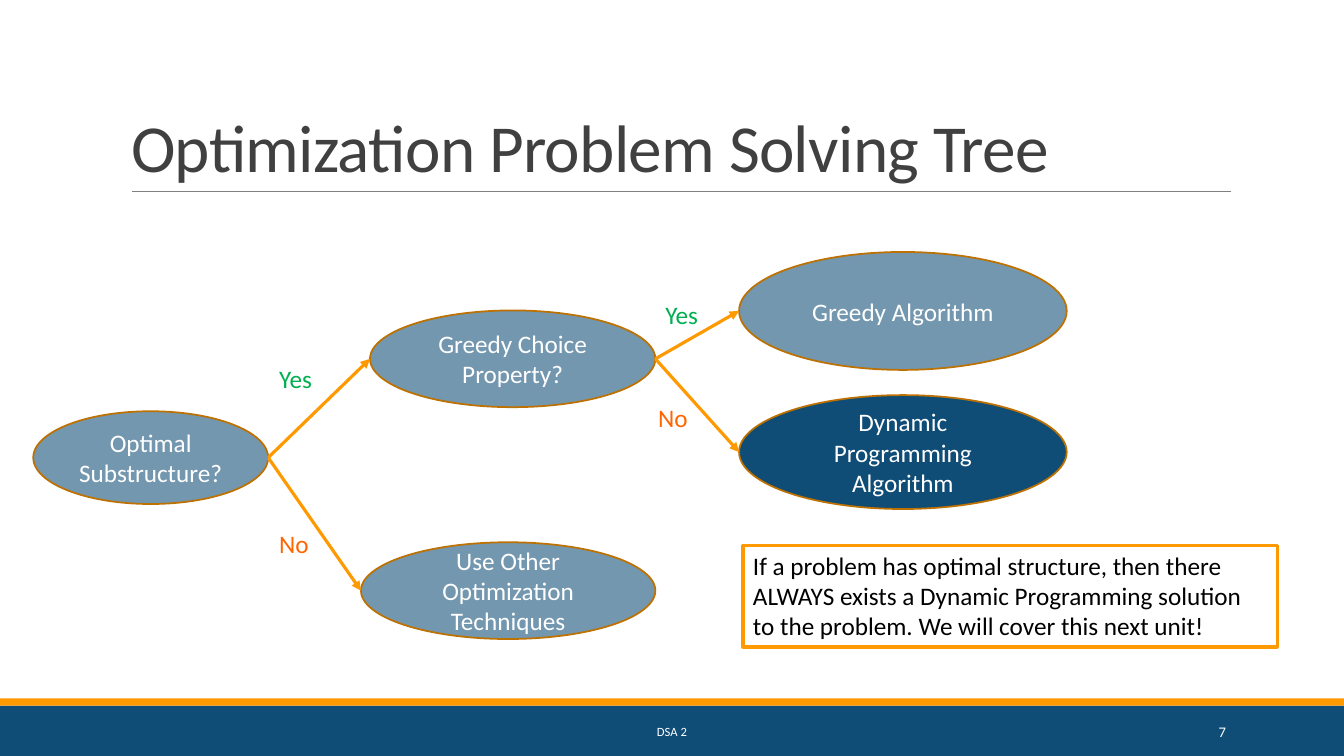
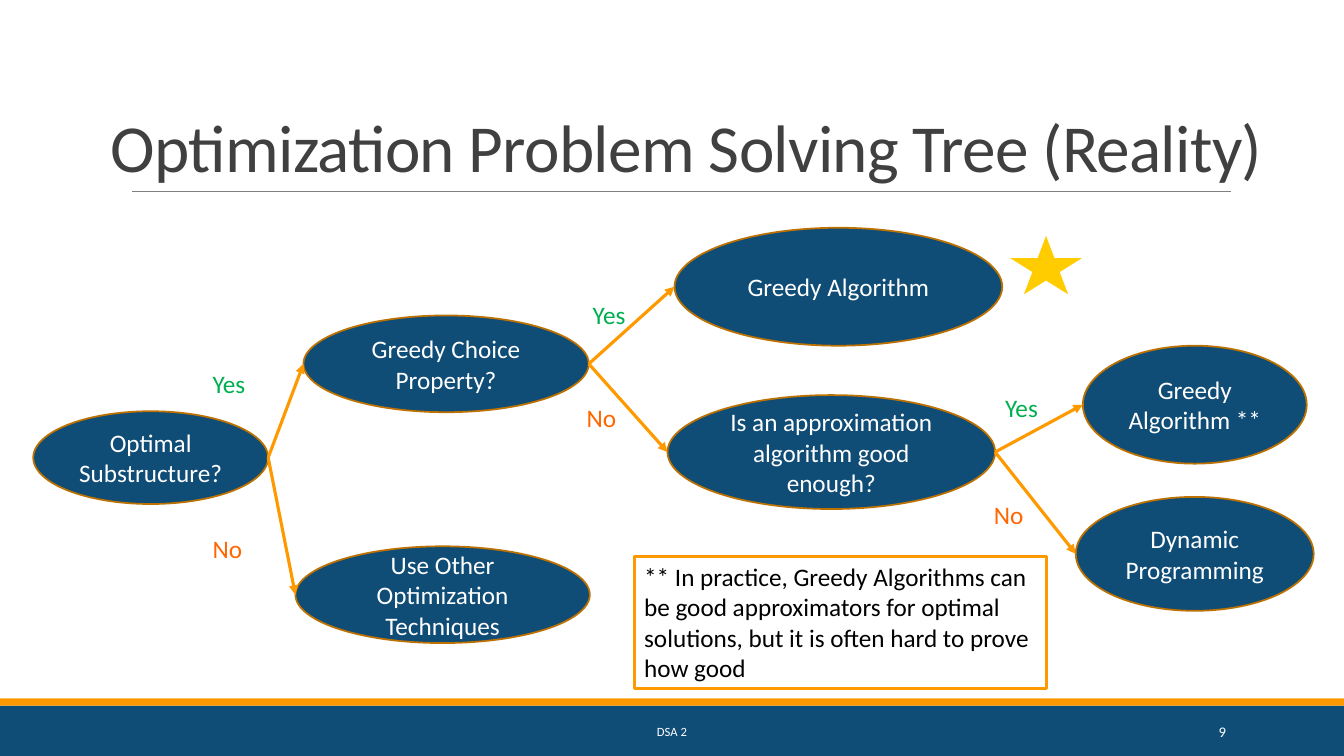
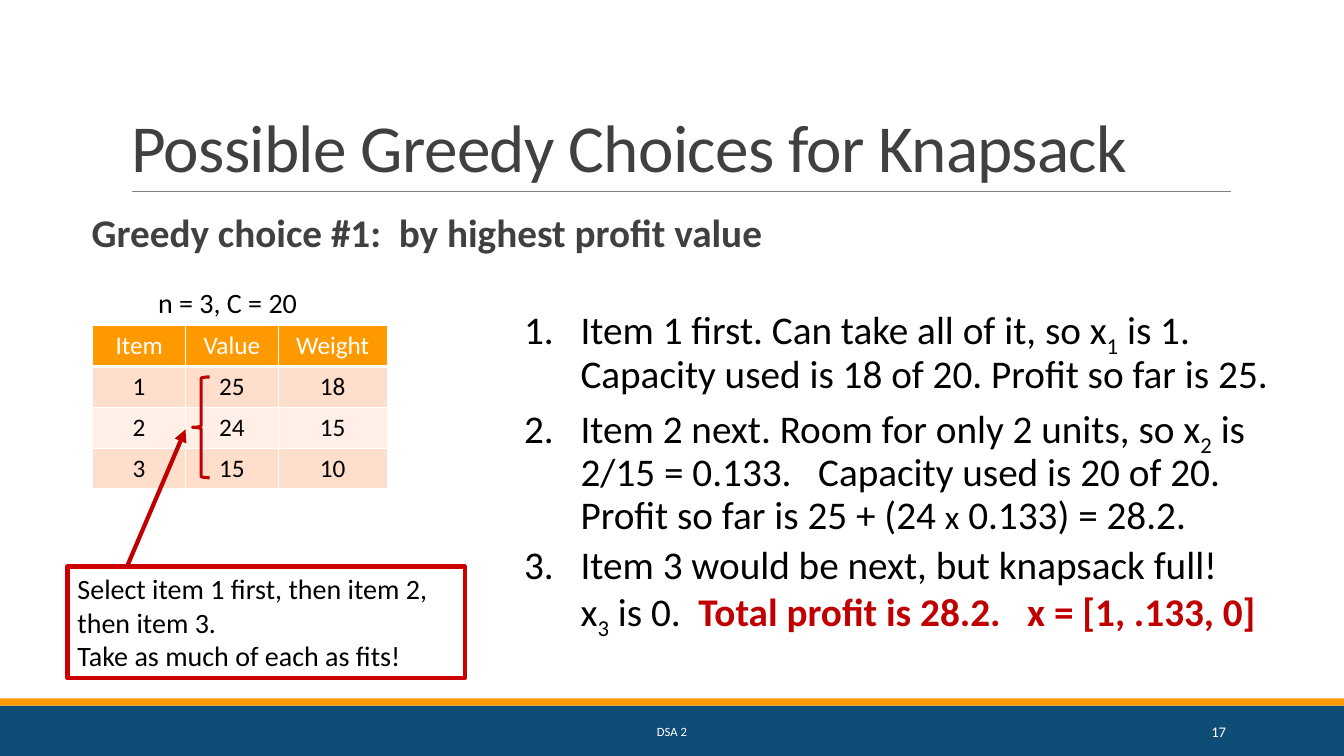
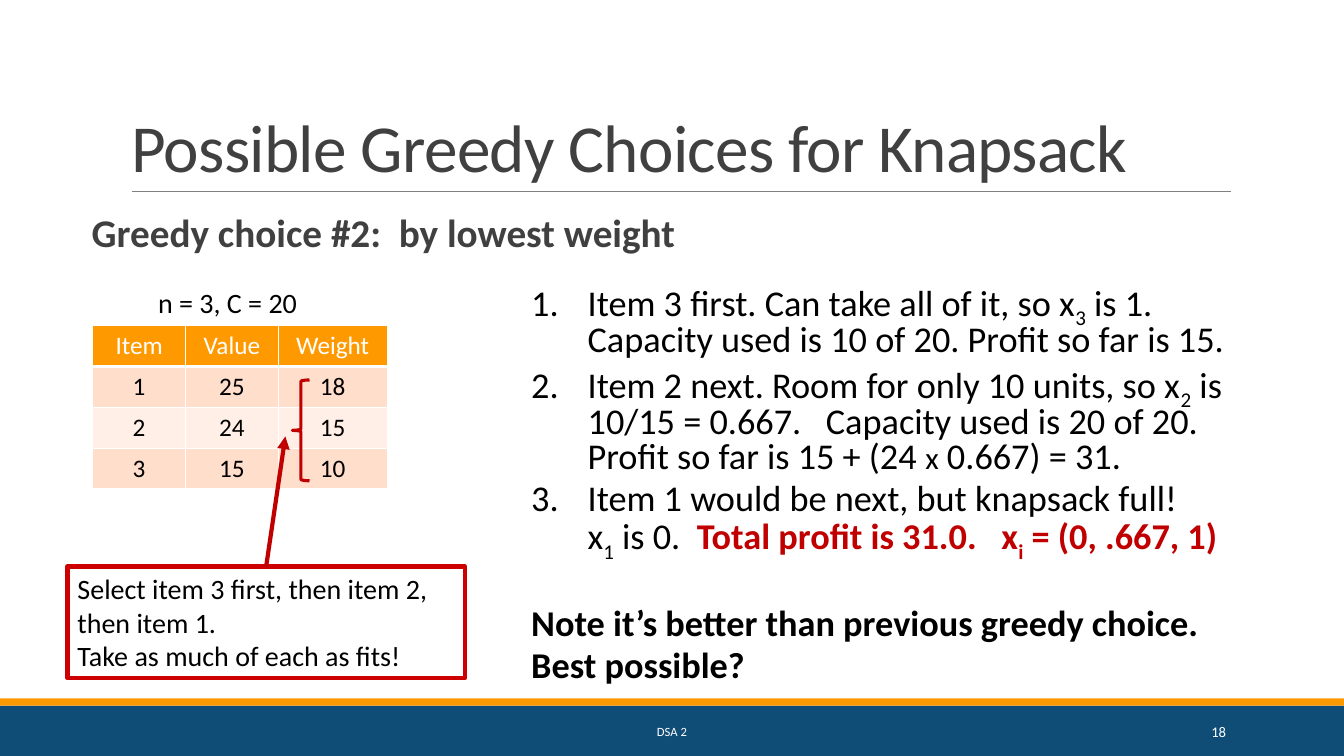
from collections import namedtuple

from lxml.etree import SubElement
from pptx import Presentation
from pptx.dml.color import RGBColor
from pptx.enum.shapes import MSO_CONNECTOR as LINE, MSO_SHAPE as SHAPE
from pptx.enum.text import MSO_ANCHOR as ANCHOR, MSO_AUTO_SIZE as FIT, PP_ALIGN as ALIGN
from pptx.oxml.ns import qn
from pptx.util import Emu, Pt

EMU_PER_PX = 9144  # 100 px to the inch
WIDTH, HEIGHT = 1333, 750

NAVY, ORANGE, BRONZE, GOLD = "0F4C76", "FF9900", "BD7100", "FFCC00"
GREEN, CORAL, RED, CRIMSON = "00B050", "FF6600", "CC0000", "C00000"
WHITE, BLACK, CHARCOAL, GREY = "FFFFFF", "000000", "404040", "808080"
PEACH, CREAM = "FFDECC", "FFEFE7"

Run = namedtuple("Run", "text size color bold baseline", defaults=(None, None, None, 0))
Node = namedtuple("Node", "text left top width height faded", defaults=(False,))


def px(length):
    return Emu(round(length * EMU_PER_PX))


def rgb(code):
    return RGBColor.from_string(code)


def sub(text, **style):
    return Run(text, baseline=-25000, **style)


class Deck:
    """Holds the style of the presentation and the slide being built."""

    font = "Calibri"

    def __init__(self):
        self.file = Presentation()
        self.file.slide_width, self.file.slide_height = px(WIDTH), px(HEIGHT)
        self.slide = None

    # Shared parts
    def start(self, title, number, left=120, width=1100):
        self.slide = self.file.slides.add_slide(self.file.slide_layouts[5])
        self.shape(SHAPE.RECTANGLE, (0, 700, WIDTH, 50), fill=NAVY)
        self.shape(SHAPE.RECTANGLE, (0, 693, WIDTH, 7), fill=ORANGE)
        self.line((131, 190), (1221, 190), GREY, 0.5)
        heading = self.slide.shapes.title
        heading.left, heading.top = px(left), px(31)
        heading.width, heading.height = px(width), px(159)
        frame = self.frame(heading, ANCHOR.BOTTOM)
        self.paragraph(frame, title, 48, CHARCOAL, spacing=0.85)
        for run in frame.paragraphs[0].runs:
            run.font._element.set("spc", "-50")
        self.text("DSA 2", (403, 706, 527, 40), 9, WHITE, align=ALIGN.CENTER, anchor=ANCHOR.MIDDLE)
        self.text(number, (1083, 706, 143, 40), 10.5, WHITE, align=ALIGN.RIGHT, anchor=ANCHOR.MIDDLE)

    # Text
    def frame(self, shape, anchor=ANCHOR.TOP, fit=FIT.NONE):
        frame = shape.text_frame
        frame.word_wrap, frame.auto_size, frame.vertical_anchor = True, fit, anchor
        return frame

    def paragraph(self, frame, runs, size, color, bold=False, align=ALIGN.LEFT,
                  spacing=None, before=0, numbered=False):
        first = frame.paragraphs[0]
        para = frame.add_paragraph() if first.runs else first
        para.alignment, para.line_spacing, para.space_before = align, spacing, Pt(before)
        if numbered:
            props = para._p.get_or_add_pPr()
            props.set("marL", str(px(56)))
            props.set("indent", str(px(-56)))
            SubElement(props, qn("a:buFont"), typeface="+mj-lt")
            SubElement(props, qn("a:buAutoNum"), type="arabicPeriod")
        for part in [runs] if isinstance(runs, str) else runs:
            part = Run(part) if isinstance(part, str) else part
            for index, words in enumerate(part.text.split("\n")):
                if index:
                    para.add_line_break()
                if not words:
                    continue
                run = para.add_run()
                run.text = words
                run.font.name, run.font.size = self.font, Pt(part.size or size)
                run.font.bold = bold if part.bold is None else part.bold
                run.font.color.rgb = rgb(part.color or color)
                if part.baseline:
                    run.font._element.set("baseline", str(part.baseline))

    def textbox(self, box, anchor=ANCHOR.TOP, fit=FIT.NONE):
        return self.frame(self.slide.shapes.add_textbox(*map(px, box)), anchor, fit)

    def text(self, words, box, size, color, bold=False, align=ALIGN.LEFT,
             anchor=ANCHOR.TOP, fit=FIT.NONE):
        frame = self.textbox(box, anchor, fit)
        self.paragraph(frame, words, size, color, bold, align)
        return frame

    # Shapes and lines
    def shape(self, kind, box, fill=None, line=None, weight=1.0, opacity=None):
        shape = self.slide.shapes.add_shape(kind, *map(px, box))
        shape.shadow.inherit = False
        if fill:
            shape.fill.solid()
            shape.fill.fore_color.rgb = rgb(fill)
        else:
            shape.fill.background()
        if opacity:
            tint = shape._element.spPr.find(qn("a:solidFill"))[0]
            SubElement(tint, qn("a:alpha"), val=str(opacity * 1000))
        if line:
            shape.line.color.rgb, shape.line.width = rgb(line), Pt(weight)
        else:
            shape.line.fill.background()
        return shape

    def line(self, start, end, color, weight, arrow=False):
        line = self.slide.shapes.add_connector(LINE.STRAIGHT, *map(px, start + end))
        line.line.color.rgb, line.line.width = rgb(color), Pt(weight)
        if arrow:
            SubElement(line.line._get_or_add_ln(), qn("a:tailEnd"), type="triangle")
        SubElement(line._element.spPr, qn("a:effectLst"))

    def note(self, words, box, size, line, weight):
        shape = self.shape(SHAPE.RECTANGLE, box, line=line, weight=weight)
        self.paragraph(self.frame(shape, fit=FIT.SHAPE_TO_FIT_TEXT), words, size, BLACK)

    # Decision tree
    def node(self, node):
        shape = self.shape(SHAPE.OVAL, node[1:5], NAVY, BRONZE, 1.25, 58 if node.faded else None)
        self.paragraph(self.frame(shape, ANCHOR.MIDDLE), node.text, 18, WHITE, align=ALIGN.CENTER)

    def branch(self, parent, child):
        self.line((parent.left + parent.width, parent.top + parent.height / 2),
                  (child.left, child.top + child.height / 2), ORANGE, 2.25, arrow=True)

    def tree(self, nodes, branches, answers):
        for node in nodes.values():
            self.node(node)
        for parent, child in branches:
            self.branch(nodes[parent], nodes[child])
        for answer, left, top in answers:
            self.text(answer, (left, top, 67, 40), 18, GREEN if answer == "Yes" else CORAL,
                      fit=FIT.SHAPE_TO_FIT_TEXT)

    # Item table
    def table(self, rows, left, top, widths, height):
        table = self.slide.shapes.add_table(
            len(rows), len(widths), px(left), px(top), px(sum(widths)), px(height * len(rows))).table
        table.first_row = table.horz_banding = False
        for column, width in zip(table.columns, widths):
            column.width = px(width)
        for r, row in enumerate(rows):
            table.rows[r].height = px(height)
            for c, value in enumerate(row):
                cell = table.cell(r, c)
                for side in ("lnL", "lnR", "lnT", "lnB"):
                    thick = (r, side) in ((0, "lnB"), (1, "lnT"))
                    self.border(cell, side, 3 if thick else 1)
                cell.fill.solid()
                cell.fill.fore_color.rgb = rgb(ORANGE if r == 0 else PEACH if r % 2 else CREAM)
                self.paragraph(cell.text_frame, value, 18, BLACK if r else WHITE, align=ALIGN.CENTER)

    def border(self, cell, side, weight):
        line = SubElement(cell._tc.get_or_add_tcPr(), qn("a:" + side), w=str(Pt(weight)))
        SubElement(SubElement(line, qn("a:solidFill")), qn("a:srgbClr"), val=WHITE)

    # Knapsack example
    def knapsack(self, number, choice, order, brace, arrow):
        self.start("Possible Greedy Choices for Knapsack", number)
        heading = self.text(choice, (91, 207, 1083, 155), 28, CHARCOAL, bold=True)
        heading.margin_left = heading.margin_right = 0
        heading.paragraphs[0].line_spacing = 0.9
        self.table(ITEMS, 92, 323, (92, 92, 108), 40)
        self.text("n = 3, C = 20", (147, 278, 165, 44), 20, BLACK)
        self.note(order + "\nTake as much of each as fits!", (67, 562, 394, 111), 20, RED, 3)
        self.line(*arrow, CRIMSON, 3, arrow=True)
        self.shape(SHAPE.LEFT_BRACE, brace + (17, 100), line=CRIMSON, weight=2.25)

    def steps(self, box, steps, size, spacing, before):
        frame = self.textbox(box)
        for runs in steps:
            self.paragraph(frame, runs, size, BLACK, spacing=spacing, before=before, numbered=True)
        return frame


ITEMS = [("Item", "Value", "Weight"), ("1", "25", "18"), ("2", "24", "15"), ("3", "15", "10")]


def main():
    deck = Deck()

    # Slide 1: solving tree
    deck.start("Optimization Problem Solving Tree", "7")
    deck.tree(
        {"start": Node("Optimal Substructure?", 33, 408, 233, 92, True),
         "choice": Node("Greedy Choice Property?", 367, 308, 283, 96, True),
         "other": Node("Use Other Optimization Techniques", 358, 538, 292, 96, True),
         "dynamic": Node("Dynamic Programming Algorithm", 733, 392, 325, 113),
         "greedy": Node("Greedy Algorithm", 733, 250, 325, 117, True)},
        [("start", "choice"), ("start", "other"), ("choice", "greedy"), ("choice", "dynamic")],
        [("Yes", 267, 356), ("No", 267, 519), ("Yes", 650, 292), ("No", 643, 394)])
    deck.note("If a problem has optimal structure, then there ALWAYS exists a Dynamic Programming "
              "solution to the problem. We will cover this next unit!",
              (737, 541, 530, 101), 18, ORANGE, 2.25)

    # Slide 2: solving tree in practice
    deck.start("Optimization Problem Solving Tree (Reality)", "9", left=100, width=1200)
    deck.tree(
        {"start": Node("Optimal Substructure?", 33, 408, 233, 92),
         "choice": Node("Greedy Choice Property?", 301, 313, 283, 96),
         "other": Node("Use Other Optimization Techniques", 293, 542, 292, 96),
         "approximate": Node("Is an approximation algorithm good enough?", 662, 392, 325, 113),
         "practical": Node("Greedy Algorithm **", 1074, 343, 222, 117),
         "dynamic": Node("Dynamic Programming", 1067, 493, 236, 113),
         "greedy": Node("Greedy Algorithm", 669, 226, 325, 117)},
        [("start", "choice"), ("start", "other"), ("choice", "greedy"), ("choice", "approximate"),
         ("approximate", "practical"), ("approximate", "dynamic")],
        [("Yes", 201, 360), ("No", 201, 524), ("Yes", 578, 292), ("No", 572, 394),
         ("Yes", 987, 384), ("No", 976, 490)])
    deck.shape(SHAPE.STAR_5_POINT, (1002, 234, 71, 58), fill=GOLD)
    deck.note("** In practice, Greedy Algorithms can be good approximators for optimal solutions, "
              "but it is often hard to prove how good", (629, 552, 409, 131), 18, ORANGE, 2.25)

    # Slide 3: knapsack by value
    deck.knapsack("17", "Greedy choice #1:  by highest profit value",
                  "Select item 1 first, then item 2, then item 3.",
                  brace=(191, 374), arrow=((126, 562), (184, 426)))
    deck.steps((510, 299, 778, 369), [
        ["Item 1 first. Can take all of it, so x", sub("1"),
         " is 1.\nCapacity used is 18 of 20. Profit so far is 25."],
        ["Item 2 next. Room for only 2 units, so x", sub("2"),
         " is 2/15 = 0.133.   Capacity used is 20 of 20.\nProfit so far is 25 + (24 ",
         Run("x", size=24), " 0.133) = 28.2."],
        ["Item 3 would be next, but knapsack full!\nx", sub("3"), " is 0.  ",
         Run("Total profit is 28.2.   x = [1, .133, 0]", color=CRIMSON, bold=True)],
    ], 28, 0.9, 5.6)

    # Slide 4: knapsack by weight
    deck.knapsack("18", "Greedy choice #2:  by lowest weight",
                  "Select item 3 first, then item 2, then item 1.",
                  brace=(290, 377), arrow=((264, 562), (283, 433)))
    result = {"color": CRIMSON, "bold": True}
    frame = deck.steps((517, 278, 778, 414), [
        ["Item 3 first. Can take all of it, so x", sub("3"),
         " is 1.\nCapacity used is 10 of 20. Profit so far is 15."],
        ["Item 2 next. Room for only 10 units, so x", sub("2"),
         " is 10/15 = 0.667.   Capacity used is 20 of 20.\nProfit so far is 15 + (24 ",
         Run("x", size=22.2), " 0.667) = 31."],
        ["Item 1 would be next, but knapsack full!\nx", sub("1"), " is 0.  ",
         Run("Total profit is 31.0.   x", **result), sub("i", **result),
         Run(" = (0, .667, 1)", **result)],
    ], 25.9, 0.8, 5.2)
    for remark, before in (("Note it’s better than previous greedy choice.", 36),
                           ("Best possible?", 5.2)):
        deck.paragraph(frame, remark, 25.9, BLACK, bold=True, spacing=0.8, before=before)

    deck.file.save("out.pptx")


if __name__ == "__main__":
    main()
